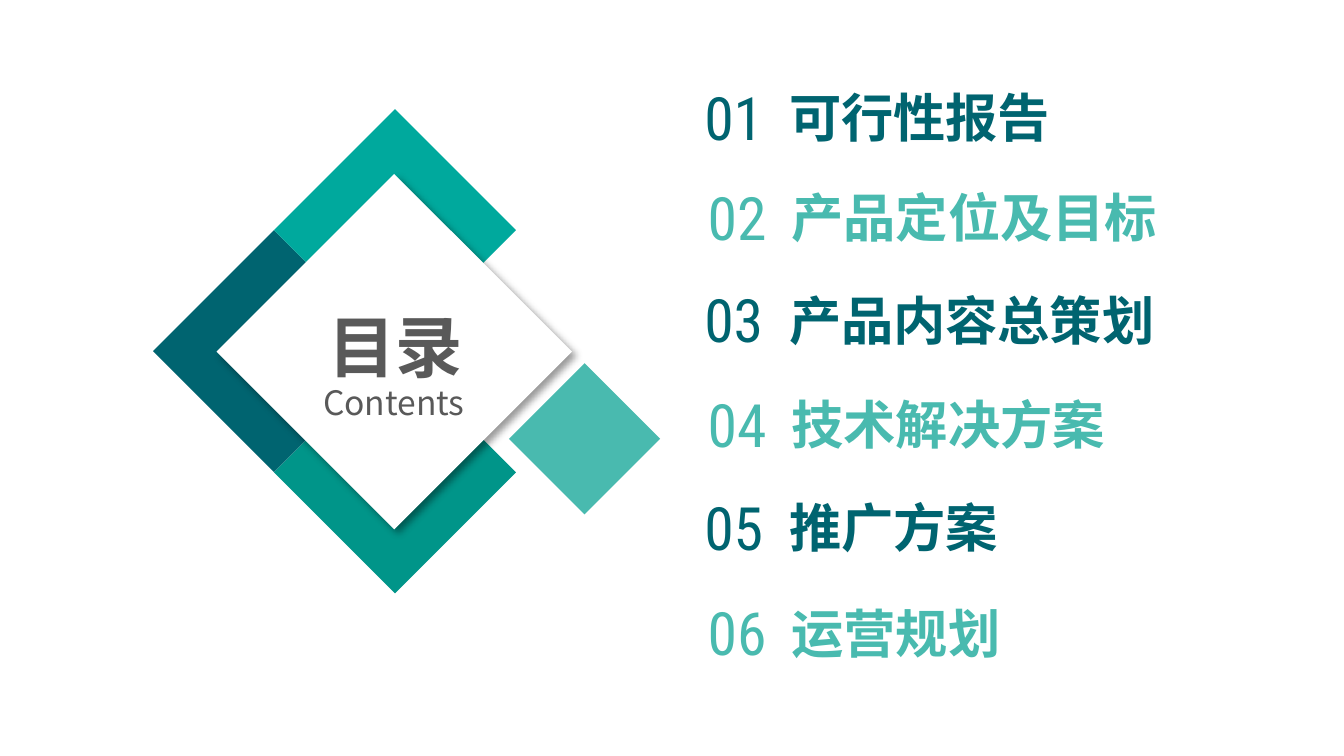
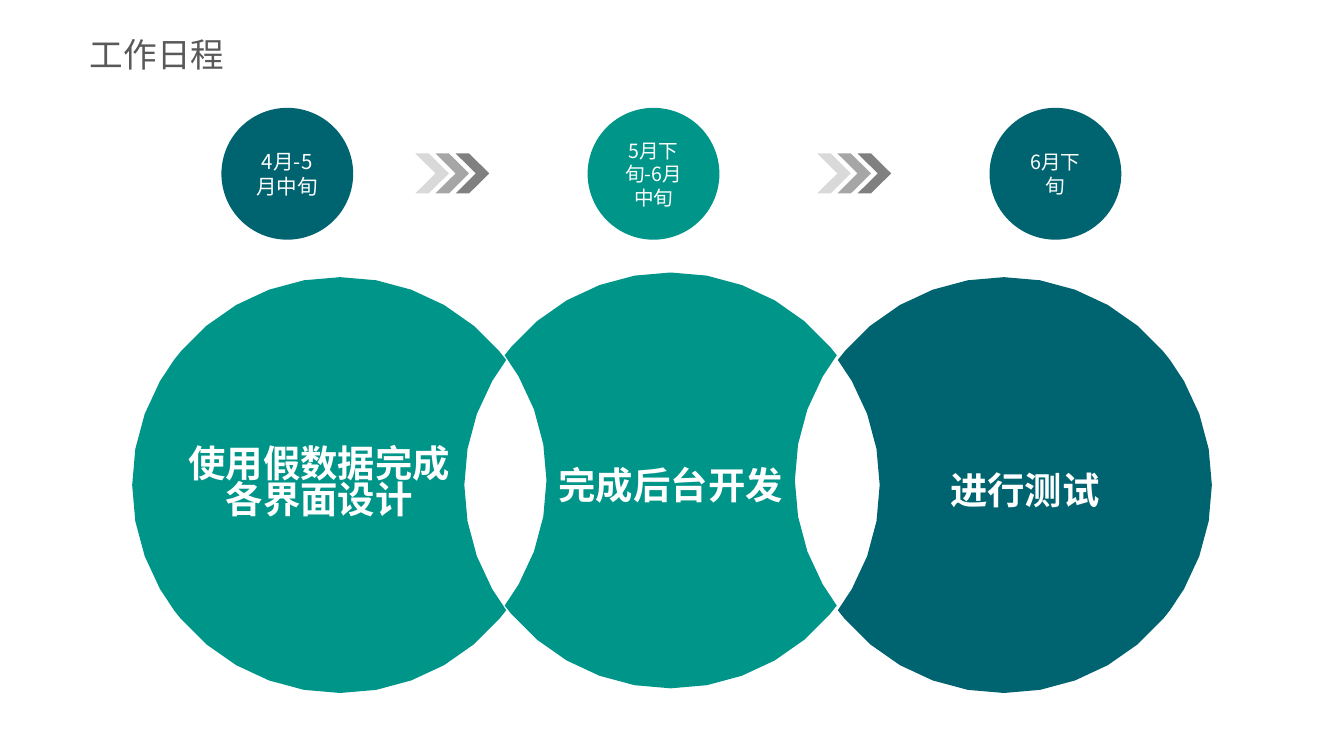
from dataclasses import dataclass
from math import cos, radians, sin

from lxml.etree import SubElement
from pptx import Presentation
from pptx.dml.color import RGBColor
from pptx.enum.shapes import MSO_SHAPE as Preset
from pptx.enum.text import MSO_ANCHOR as Anchor, MSO_AUTO_SIZE as AutoSize, PP_ALIGN as Align
from pptx.oxml.ns import qn
from pptx.shapes.autoshape import Shape
from pptx.slide import Slide
from pptx.util import Pt

COLOURS = {
    "deep": "006470", "teal": "009589", "bright": "00A99D", "mint": "49BAAF",
    "grey": "595959", "white": "FFFFFF",
    "pale": "D9D9D9", "medium": "A6A6A6", "dark": "808080",
}
CJK_FONT = "Noto Sans CJK SC"
NUMBER_FONT = "Roboto Condensed"
DEFAULT_INSETS = (7.2, 3.6, 7.2, 3.6)


@dataclass(frozen=True)
class Box:
    left: float
    top: float
    width: float
    height: float

    def lengths(self) -> tuple:
        return Pt(self.left), Pt(self.top), Pt(self.width), Pt(self.height)


@dataclass(frozen=True)
class TextStyle:
    size: float
    colour: str
    bold: bool = False
    font: str = CJK_FONT
    align: Align = Align.CENTER
    anchor: Anchor = Anchor.MIDDLE
    insets: tuple = DEFAULT_INSETS
    wrap: bool = True
    spacing: float = 1.0


@dataclass(frozen=True)
class Diamond:
    box: Box
    colour: str
    raised: bool = False


@dataclass(frozen=True)
class EntryLook:
    colour: str
    number_width: float
    heading_left: float
    heading_height: float


@dataclass(frozen=True)
class Entry:
    heading: str
    top: float


@dataclass(frozen=True)
class Period:
    label: str
    left: float
    colour: str
    size: float


@dataclass(frozen=True)
class Stage:
    lines: tuple
    centre_x: float
    centre_y: float
    colour: str
    bitten_sides: tuple
    spacing: float


# Shared drawing
def rgb(name: str) -> RGBColor:
    return RGBColor.from_string(COLOURS[name])


def write(shape: Shape, lines: tuple, style: TextStyle) -> None:
    frame = shape.text_frame
    frame.auto_size = AutoSize.NONE
    frame.word_wrap = style.wrap
    frame.vertical_anchor = style.anchor
    (frame.margin_left, frame.margin_top,
     frame.margin_right, frame.margin_bottom) = map(Pt, style.insets)
    for index, line in enumerate(lines):
        paragraph = frame.paragraphs[0] if index == 0 else frame.add_paragraph()
        paragraph.alignment = style.align
        paragraph.line_spacing = style.spacing
        run = paragraph.add_run()
        run.text = line
        run.font.size = Pt(style.size)
        run.font.bold = style.bold
        run.font.color.rgb = rgb(style.colour)
        run.font.name = style.font
        SubElement(run.font._element, qn("a:ea"), typeface=style.font)


def add_text(slide: Slide, box: Box, text: str, style: TextStyle) -> None:
    write(slide.shapes.add_textbox(*box.lengths()), (text,), style)


def paint(shape: Shape, colour: str) -> Shape:
    shape.shadow.inherit = False
    shape.fill.solid()
    shape.fill.fore_color.rgb = rgb(colour)
    shape.line.fill.background()
    return shape


def add_preset(slide: Slide, preset: Preset, box: Box, colour: str) -> Shape:
    return paint(slide.shapes.add_shape(preset, *box.lengths()), colour)


def cast_shadow(shape: Shape) -> None:
    effects = shape._element.spPr.find(qn("a:effectLst"))
    shadow = SubElement(effects, qn("a:outerShdw"), blurRad=str(Pt(4)), dist=str(Pt(3)),
                        dir="2700000", algn="tl", rotWithShape="0")
    tint = SubElement(shadow, qn("a:srgbClr"), val="000000")
    SubElement(tint, qn("a:alpha"), val="40000")


# Contents slide
DIAMONDS = (
    Diamond(Box(82, 123.3, 129.6, 129.6), "deep"),
    Diamond(Box(146.8, 58.5, 129.6, 129.6), "bright"),
    Diamond(Box(146.8, 188.3, 129.6, 129.6), "teal"),
    Diamond(Box(116, 93.2, 190.4, 190.4), "white", raised=True),
    Diamond(Box(272.7, 194.6, 81, 81), "mint"),
)
ENTRY_LOOKS = (
    EntryLook("deep", 38.9, 394.6, 41.8),
    EntryLook("mint", 42.5, 396, 31.7),
)
ENTRIES = (
    Entry("可行性报告", 41.5),
    Entry("产品定位及目标", 95),
    Entry("产品内容总策划", 150),
    Entry("技术解决方案", 206),
    Entry("推广方案", 261),
    Entry("运营规划", 317.5),
)
NUMBER_LEFT = 373.7
NUMBER_HEIGHT = 41.8
HEADING_DROP = 38


def add_entry(slide: Slide, index: int, entry: Entry) -> None:
    look = ENTRY_LOOKS[index % 2]
    add_text(slide, Box(NUMBER_LEFT, entry.top, look.number_width, NUMBER_HEIGHT),
             f"{index + 1:02d}",
             TextStyle(32, look.colour, font=NUMBER_FONT, wrap=False))
    heading_top = entry.top + HEADING_DROP - look.heading_height
    add_text(slide, Box(look.heading_left, heading_top, 234, look.heading_height),
             entry.heading,
             TextStyle(28, look.colour, bold=True, align=Align.LEFT,
                       anchor=Anchor.BOTTOM, insets=(28.1, 0, 0, 0)))


def build_contents(slide: Slide) -> None:
    for diamond in DIAMONDS:
        shape = add_preset(slide, Preset.DIAMOND, diamond.box, diamond.colour)
        if diamond.raised:
            cast_shadow(shape)
    add_text(slide, Box(157.7, 195.8, 106.6, 30.2), "Contents",
             TextStyle(18, "grey", anchor=Anchor.BOTTOM, insets=(0, 0, 0, 0)))
    add_text(slide, Box(158.4, 159.8, 106.6, 54.7), "目录",
             TextStyle(36, "grey", bold=True, anchor=Anchor.TOP))
    for index, entry in enumerate(ENTRIES):
        add_entry(slide, index, entry)


# Schedule slide
CHEVRON_SHADES = ("pale", "medium", "dark")
ARROW_LEFTS = (222.5, 437.8)
CHEVRON_STEP = 10.8
PERIODS = (
    Period("4月-5月中旬", 118.6, "deep", 11),
    Period("5月下旬-6月中旬", 314.8, "teal", 10.5),
    Period("6月下旬", 530.1, "deep", 10.5),
)
LEFT, RIGHT = -1, 1
STAGES = (
    Stage(("使用假数据完成", "各界面设计"), 182.2, 259.9, "teal", (RIGHT,), 0.8),
    Stage(("完成后台开发",), 359.3, 257.4, "teal", (LEFT, RIGHT), 1.2),
    Stage(("进行测试",), 537.8, 259.9, "deep", (LEFT,), 1.2),
)
STAGE_RADIUS = 111.4
BITE_ANGLE = 37
ARC_STEP = 10
TIP_ANGLES = {BITE_ANGLE, 180 - BITE_ANGLE, 180 + BITE_ANGLE, 360 - BITE_ANGLE}
OUTLINE_ANGLES = sorted(TIP_ANGLES.union(range(0, 360, ARC_STEP)))


def add_arrow(slide: Slide, left: float) -> None:
    for step, shade in enumerate(CHEVRON_SHADES):
        chevron = add_preset(slide, Preset.CHEVRON,
                             Box(left + step * CHEVRON_STEP, 82.2, 18, 21.4), shade)
        chevron.adjustments[0] = 0.6


def stage_outline(stage: Stage) -> list:
    """Circle whose bitten sides are mirrored inwards at the chord."""
    chord = STAGE_RADIUS * cos(radians(BITE_ANGLE))
    points = []
    for degree in OUTLINE_ANGLES:
        x = STAGE_RADIUS * cos(radians(degree))
        y = STAGE_RADIUS * sin(radians(degree))
        for side in stage.bitten_sides:
            if x * side > chord:
                x = 2 * chord * side - x
        points.append((Pt(stage.centre_x + x), Pt(stage.centre_y + y)))
    return points


def add_stage(slide: Slide, stage: Stage) -> None:
    start, *others = stage_outline(stage)
    builder = slide.shapes.build_freeform(*start)
    builder.add_line_segments(others, close=True)
    shape = paint(builder.convert_to_shape(), stage.colour)
    write(shape, stage.lines, TextStyle(20, "white", bold=True, spacing=stage.spacing))


def build_schedule(slide: Slide) -> None:
    for left in ARROW_LEFTS:
        add_arrow(slide, left)
    for period in PERIODS:
        circle = add_preset(slide, Preset.OVAL, Box(period.left, 57.8, 70.6, 70.6),
                            period.colour)
        write(circle, (period.label,), TextStyle(period.size, "white"))
    add_text(slide, Box(48.2, 13.7, 167.8, 30.2), "工作日程",
             TextStyle(18, "grey", align=Align.LEFT, insets=(0, 3.6, 0, 3.6)))
    for stage in STAGES:
        add_stage(slide, stage)


def main() -> None:
    deck = Presentation()
    deck.slide_width, deck.slide_height = Pt(720), Pt(405)
    blank = deck.slide_layouts[6]
    for build in (build_contents, build_schedule):
        build(deck.slides.add_slide(blank))
    deck.save("out.pptx")


if __name__ == "__main__":
    main()
